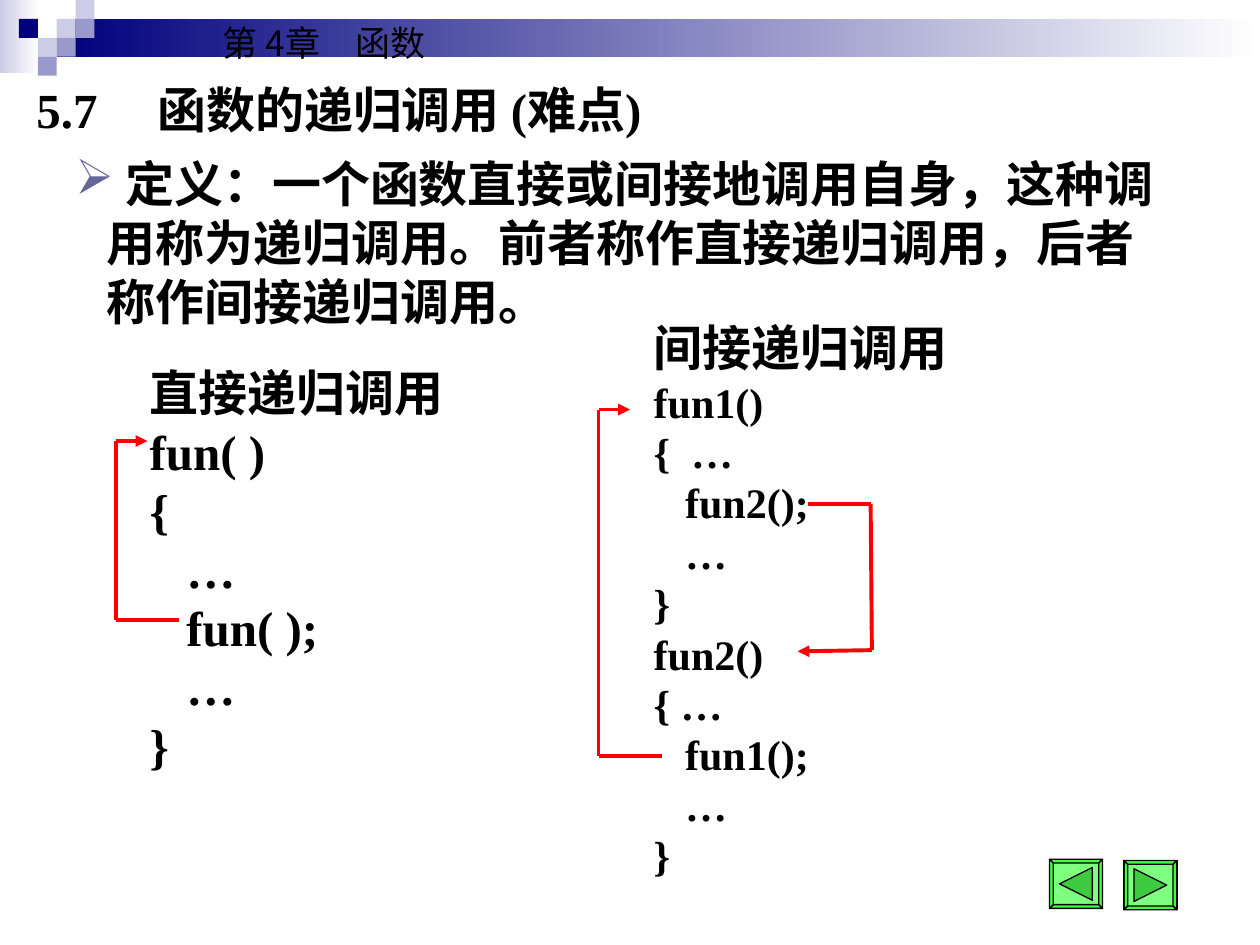
from itertools import pairwise

from lxml import etree
from pptx import Presentation
from pptx.dml.color import RGBColor
from pptx.enum import shapes, text
from pptx.oxml import ns
from pptx.util import Inches, Pt

THEME = {
    "navy": "00007D", "mid": "9999CC", "pale": "CCCCE6", "white": "FFFFFF",
    "ink": "000000", "bullet": "666699", "arrow": "FF0000",
    "button": "00FF00", "sign": "009900",
    "small": 20, "code": 24, "large": 28, "leading": 1.2,
    "serif": "Times New Roman", "sans": "Arial", "cjk": "Noto Sans CJK SC",
}

BANDS = [((0, 0, 0.31, 0.58), "pale"), ((0.45, 0.15, 9.55, 0.3), "navy")]
TILE = 0.15
TILES = [  # column, row, colour
    (3, 1, "pale"), (4, 0, "pale"), (4, 1, "mid"), (2, 2, "pale"),
    (1, 1, "navy"), (3, 2, "mid"), (2, 3, "mid"),
]

CHAPTER = "第 4章\u3000函数"
TITLE = "5.7\t函数的递归调用 (难点)"
MEANING = (" 定义：一个函数直接或间接地调用自身，这种调用称为递归调用。"
           "前者称作直接递归调用，后者称作间接递归调用。")
DIRECT = ["fun( )", "{", "   …", "   fun( );", "   …", "}"]
CROSS = ["fun1()", "{  …", "   fun2();", "   …", "}",
         "fun2()", "{ …", "   fun1();", "   …", "}"]

CALLS = [
    [(1.42, 4.92), (0.92, 4.92), (0.92, 3.5), (1.17, 3.5)],
    [(5.25, 6), (4.75, 6), (4.75, 3.25), (5, 3.25)],
    [(6.41, 4), (6.91, 4), (6.92, 5.16), (6.33, 5.17)],
]
BUTTONS = [(8.33, 6.82, -1), (8.92, 6.83, 1)]  # left, top, direction

deck = Presentation()
deck.slide_width, deck.slide_height = Inches(10), Inches(7.5)
slide = deck.slides.add_slide(deck.slide_layouts[6])


def tint(name):
    return RGBColor.from_string(THEME[name])


def add_box(place, name, fade=False):
    box = slide.shapes.add_shape(shapes.MSO_SHAPE.RECTANGLE, *map(Inches, place))
    box.shadow.inherit = False
    box.line.fill.background()
    if fade:
        box.fill.gradient()
        box.fill.gradient_angle = 0
        for stop, hue, spot in zip(box.fill.gradient_stops, (name, "white"), (0, 1)):
            stop.color.rgb = tint(hue)
            stop.position = spot
    else:
        box.fill.solid()
        box.fill.fore_color.rgb = tint(name)


def add_text(place, lines, face="serif", bold=True, wrap=False):
    """Write (text, size name) lines and return the paragraphs."""
    frame = slide.shapes.add_textbox(*map(Inches, place)).text_frame
    frame.word_wrap = wrap
    frame.vertical_anchor = text.MSO_ANCHOR.TOP
    for n, (words, size) in enumerate(lines):
        para = frame.add_paragraph() if n else frame.paragraphs[0]
        para.line_spacing = Pt(THEME[size] * THEME["leading"])
        run = para.add_run()
        run.text = words
        font = run.font
        font.name, font.size, font.bold = THEME[face], Pt(THEME[size]), bold
        font.color.rgb = tint("ink")
        east = etree.SubElement(run._r.get_or_add_rPr(), ns.qn("a:ea"))
        east.set("typeface", THEME["cjk"])
    return frame.paragraphs


def add_tab(para, spot):
    tabs = etree.SubElement(para._p.get_or_add_pPr(), ns.qn("a:tabLst"))
    etree.SubElement(tabs, ns.qn("a:tab"), pos=str(Inches(spot)), algn="l")


def add_bullet(para, sign, hang):
    props = para._p.get_or_add_pPr()
    props.set("marL", str(Inches(hang)))
    props.set("indent", str(-Inches(hang)))
    hue = etree.SubElement(props, ns.qn("a:buClr"))
    etree.SubElement(hue, ns.qn("a:srgbClr"), val=THEME["bullet"])
    etree.SubElement(props, ns.qn("a:buChar"), char=sign)


def add_call(points):
    """Join the points with lines and put an arrowhead on the last one."""
    for start, end in pairwise(points):
        line = slide.shapes.add_connector(
            shapes.MSO_CONNECTOR.STRAIGHT, *map(Inches, start + end))
        line.line.color.rgb = tint("arrow")
        line.line.width = Pt(2.25)
        etree.SubElement(line._element.spPr, ns.qn("a:effectLst"))
    etree.SubElement(line.line._get_or_add_ln(), ns.qn("a:tailEnd"), type="triangle")


def add_facet(points, name):
    """Draw a closed, half-transparent outline."""
    first, *rest = [tuple(map(Inches, p)) for p in points]
    pen = slide.shapes.build_freeform(*first)
    pen.add_line_segments(rest, close=True)
    facet = pen.convert_to_shape()
    facet.shadow.inherit = False
    facet.fill.solid()
    facet.fill.fore_color.rgb = tint(name)
    hue = facet.fill._xPr.find(".//" + ns.qn("a:srgbClr"))
    etree.SubElement(hue, ns.qn("a:alpha"), val="50000")
    facet.line.color.rgb = tint("ink")
    facet.line.width = Pt(0.75)


def add_button(left, top, way, wide=0.42, high=0.39, rim=0.03, half=0.13):
    def ring(gap):
        x, y = left + wide - gap, top + high - gap
        return [(left + gap, top + gap), (x, top + gap), (x, y), (left + gap, y)]

    outer, inner = ring(0), ring(rim)
    add_facet(outer, "button")
    for n in range(4):
        m = (n + 1) % 4
        add_facet([outer[n], outer[m], inner[m], inner[n]], "button")
    x, y = left + wide / 2, top + high / 2
    back = x - way * half
    add_facet([(x + way * half, y), (back, y - half), (back, y + half)], "sign")


for place, name in BANDS:
    add_box(place, name, fade=True)
for col, row, name in TILES:
    add_box((col * TILE, row * TILE, TILE, TILE), name)

add_text((1.67, 0.12, 1.94, 0.44), [(CHAPTER, "small")], "cjk", bold=False)
add_tab(add_text((0.19, 0.58, 5.29, 0.57), [(TITLE, "large")])[0], 0.96)
body = add_text((0.5, 1.17, 8.75, 1.5), [(MEANING, "large")], "sans", wrap=True)
add_bullet(body[0], "➢", 0.25)
for place, head, code, size in [
    ((1.09, 2.83, 2.53, 3.37), "直接递归调用", DIRECT, "large"),
    ((5.09, 2.47, 2.53, 4.97), "间接递归调用", CROSS, "code"),
]:
    add_text(place, [(head, "large")] + [(row, size) for row in code])

for button in BUTTONS:
    add_button(*button)
for call in CALLS:
    add_call(call)

deck.save("out.pptx")
